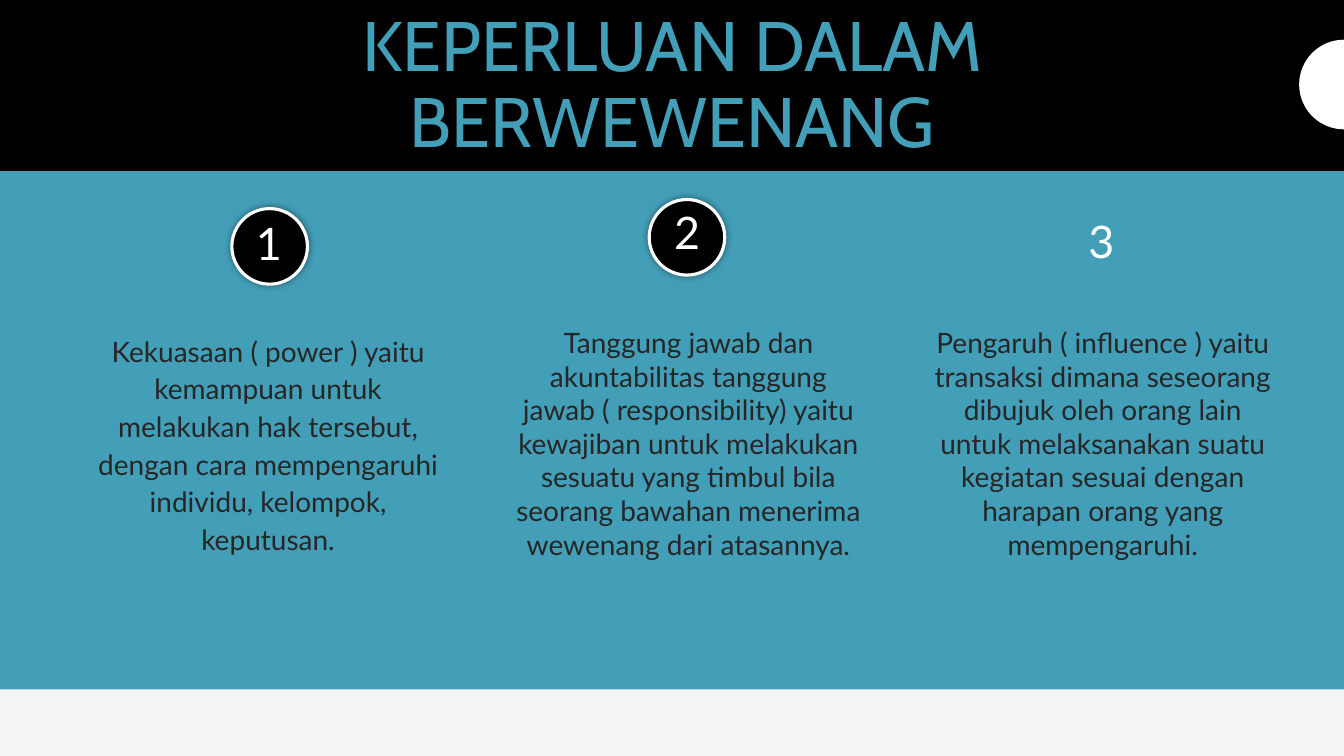
import math

from lxml import etree
from pptx import Presentation
from pptx.dml.color import RGBColor
from pptx.enum.shapes import MSO_SHAPE
from pptx.enum.text import MSO_ANCHOR, PP_ALIGN
from pptx.oxml.ns import qn
from pptx.util import Pt

RECTANGLE, OVAL = MSO_SHAPE.RECTANGLE, MSO_SHAPE.OVAL
TOP, MIDDLE = MSO_ANCHOR.TOP, MSO_ANCHOR.MIDDLE
LEFT, CENTER = PP_ALIGN.LEFT, PP_ALIGN.CENTER

WIDTH, HEIGHT = 960, 540
TEAL, BLACK, WHITE, INK, PAPER = "439EB7", "000000", "FFFFFF", "262626", "F5F5F5"
BADGE_SIZE = 54
BODY_TOP, BODY_WIDTH, BODY_HEIGHT = 226, 263.5, 181

# number, number left and top, badge left and top, body left, line spacing, body text
COLUMNS = [
    ("1", (175.7, 150.5), (165.6, 149), 59.8, 1.12,
     "Kekuasaan ( power ) yaitu kemampuan untuk melakukan hak tersebut, "
     "dengan cara mempengaruhi individu, kelompok, keputusan."),
    ("2", (474.5, 142.5), (463.7, 142.5), 360, 1,
     "Tanggung jawab dan akuntabilitas tanggung jawab ( responsibility) yaitu "
     "kewajiban untuk melakukan sesuatu yang timbul bila seorang bawahan "
     "menerima wewenang dari atasannya."),
    ("3", (770.4, 149), None, 656, 1,
     "Pengaruh ( influence ) yaitu transaksi dimana seseorang dibujuk oleh "
     "orang lain untuk melaksanakan suatu kegiatan sesuai dengan harapan "
     "orang yang mempengaruhi."),
]


def color(value):
    return RGBColor.from_string(value)


def paint(shape, fill, line=None, line_width=1):
    shape.shadow.inherit = False
    shape.fill.solid()
    shape.fill.fore_color.rgb = color(fill)
    if line:
        shape.line.color.rgb = color(line)
        shape.line.width = Pt(line_width)
    else:
        shape.line.fill.background()


def add_block(page, kind, left, top, width, height, fill, **outline):
    shape = page.shapes.add_shape(kind, Pt(left), Pt(top), Pt(width), Pt(height))
    paint(shape, fill, **outline)
    return shape


def add_glow(shape, blur, opacity):
    """Add a soft black shadow with no offset."""
    effects = shape._element.spPr.find(qn("a:effectLst"))
    shadow = etree.SubElement(effects, qn("a:outerShdw"), blurRad=str(Pt(blur)),
                              dist="0", dir="0", algn="ctr", rotWithShape="0")
    tint = etree.SubElement(shadow, qn("a:srgbClr"), val=BLACK)
    etree.SubElement(tint, qn("a:alpha"), val=str(opacity * 1000))


def add_half_disc(page, center_x, center_y, radius, fill, steps=48):
    """Draw the left half of a disc."""
    angles = [math.pi * (0.5 + step / steps) for step in range(steps + 1)]
    points = [(Pt(center_x + radius * math.cos(angle)),
               Pt(center_y + radius * math.sin(angle))) for angle in angles]
    builder = page.shapes.build_freeform(*points[0])
    builder.add_line_segments(points[1:], close=True)
    paint(builder.convert_to_shape(), fill)


def add_text(page, text, left, top, width, height, *, size, ink, font="Lato",
             align=CENTER, anchor=MIDDLE, spacing=1, inset=7.2):
    box = page.shapes.add_textbox(Pt(left), Pt(top), Pt(width), Pt(height))
    frame = box.text_frame
    frame.word_wrap = True
    frame.vertical_anchor = anchor
    frame.margin_left = frame.margin_right = Pt(inset)
    para = frame.paragraphs[0]
    para.alignment = align
    para.line_spacing = spacing
    span = para.add_run()
    span.text = text
    span.font.name = font
    span.font.size = Pt(size)
    span.font.color.rgb = color(ink)


def add_column(page, number, number_at, badge_at, body_left, spacing, body):
    if badge_at:
        badge = add_block(page, OVAL, *badge_at, BADGE_SIZE, BADGE_SIZE, BLACK,
                          line=WHITE, line_width=2.25)
        add_glow(badge, blur=5, opacity=40)
    add_text(page, number, *number_at, 34.6, 47, size=32, ink=WHITE,
             align=LEFT, anchor=TOP)
    add_text(page, body, body_left, BODY_TOP, BODY_WIDTH, BODY_HEIGHT,
             size=20, ink=INK, spacing=spacing)


def main():
    deck = Presentation()
    deck.slide_width, deck.slide_height = Pt(WIDTH), Pt(HEIGHT)
    page = deck.slides.add_slide(deck.slide_layouts[6])
    page.background.fill.solid()
    page.background.fill.fore_color.rgb = color(PAPER)

    add_block(page, RECTANGLE, 0, 121, WIDTH, 371.5, TEAL)
    add_block(page, RECTANGLE, 0, 0, WIDTH, 121.7, BLACK, line=BLACK)
    add_half_disc(page, WIDTH, 60.4, 32, WHITE)
    add_text(page, "KEPERLUAN DALAM BERWEWENANG", 59.8, 22.3, 841, 79.2,
             size=50, ink=TEAL, font="Cabin", spacing=0.9, inset=14.4)
    for column in COLUMNS:
        add_column(page, *column)

    deck.save("out.pptx")


if __name__ == "__main__":
    main()
